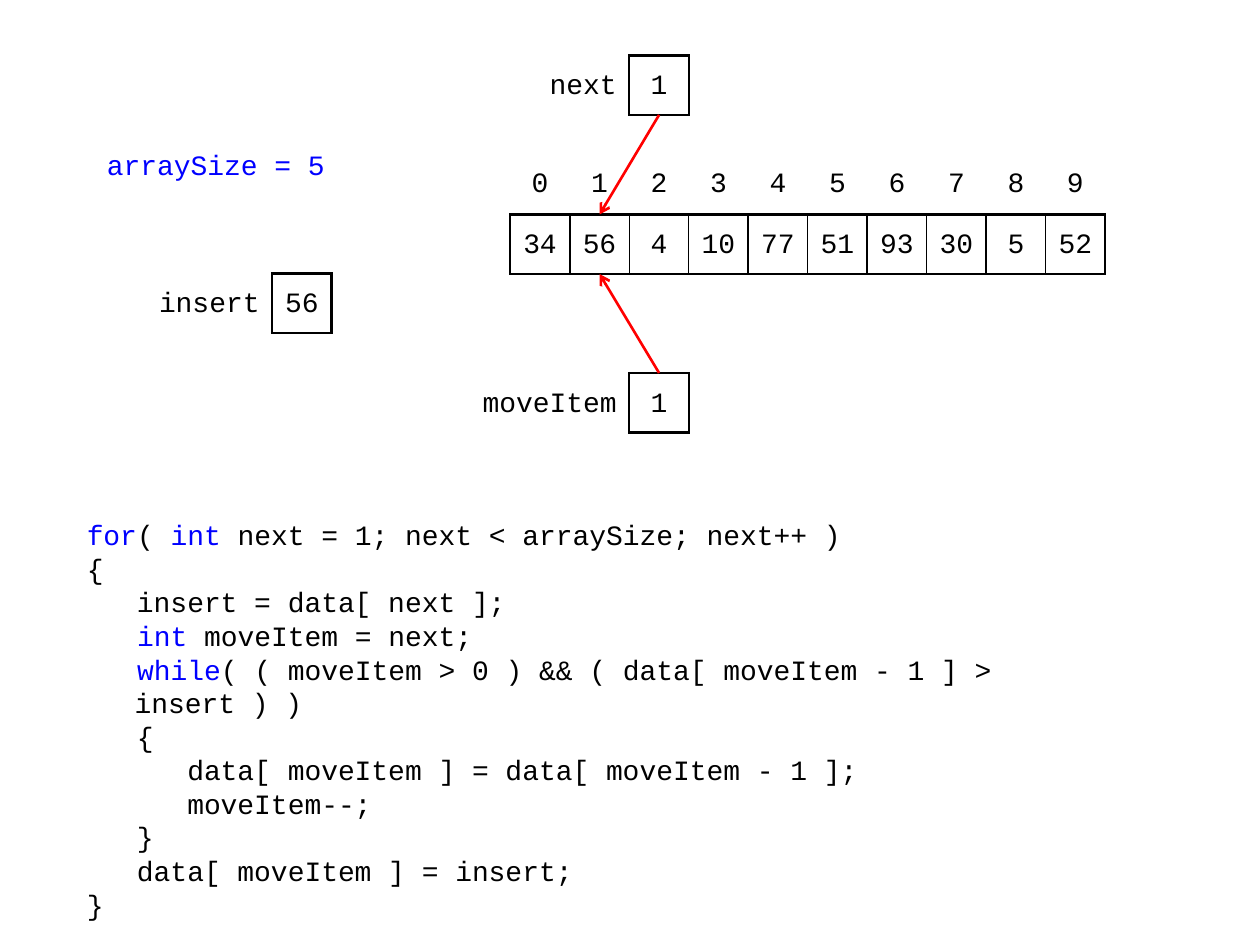
from lxml.etree import SubElement
from pptx import Presentation
from pptx.dml.color import RGBColor
from pptx.enum.shapes import MSO_CONNECTOR
from pptx.enum.text import MSO_ANCHOR, PP_ALIGN
from pptx.oxml.ns import qn
from pptx.util import Inches, Pt

COLORS = {"ink": "000000", "keyword": "0000FF", "arrow": "FF0000", "paper": "FFFFFF"}
FONT = "Courier New"
CELL = 0.4724
ARRAY_LEFT, ARRAY_TOP = 4.05, 1.23
THIN, THICK = 1, 1.5
VALUES = [34, 56, 4, 10, 77, 51, 93, 30, 5, 52]
CODE = [
    [("for", "keyword"), ("( ", "ink"), ("int", "keyword"),
     (" next = 1; next < arraySize; next++ )", "ink")],
    [("{", "ink")],
    [("   insert = data[ next ];", "ink")],
    [("   ", "ink"), ("int ", "keyword"), ("moveItem = next;", "ink")],
    [("   ", "ink"), ("while", "keyword"),
     ("( ( moveItem > 0 ) && ( data[ moveItem - 1 ] > insert ) )", "ink")],
    [("   {", "ink")],
    [("      data[ moveItem ] = data[ moveItem - 1 ];", "ink")],
    [("      moveItem--;", "ink")],
    [("   }", "ink")],
    [("   data[ moveItem ] = insert;", "ink")],
    [("}", "ink")],
]


def rgb(name):
    return RGBColor.from_string(COLORS[name])


def write_text(frame, lines, align=PP_ALIGN.LEFT, anchor=MSO_ANCHOR.TOP, hanging=0, spacing=None):
    frame.word_wrap = True
    frame.vertical_anchor = anchor
    for number, line in enumerate(lines):
        paragraph = frame.paragraphs[0] if number == 0 else frame.add_paragraph()
        paragraph.alignment = align
        if spacing:
            paragraph.line_spacing = Pt(spacing)
        if hanging:
            properties = paragraph._p.get_or_add_pPr()
            properties.set("marL", str(Inches(hanging)))
            properties.set("indent", str(-Inches(hanging)))
        for text, color in line:
            run = paragraph.add_run()
            run.text = text
            run.font.name = FONT
            run.font.size = Pt(16)
            run.font.bold = False
            run.font.color.rgb = rgb(color)


def add_text(slide, left, top, width, height, lines, **style):
    box = slide.shapes.add_textbox(Inches(left), Inches(top), Inches(width), Inches(height))
    write_text(box.text_frame, lines, **style)


def draw_borders(cell, **widths):
    properties = cell._tc.get_or_add_tcPr()
    for side in "LRTB":
        width = widths.get(side, 0)
        border = SubElement(properties, qn(f"a:ln{side}"), w=str(Pt(width)))
        if width:
            fill = SubElement(border, qn("a:solidFill"))
            SubElement(fill, qn("a:srgbClr"), val=COLORS["ink"])
        else:
            SubElement(border, qn("a:noFill"))


def fill_cell(cell, text, align=PP_ALIGN.CENTER, margin=0.08, bottom=0.02, paper=False, **borders):
    write_text(cell.text_frame, [[(str(text), "ink")]], align=align)
    cell.vertical_anchor = MSO_ANCHOR.MIDDLE
    cell.margin_left = cell.margin_right = Inches(margin)
    cell.margin_top, cell.margin_bottom = Inches(0.05), Inches(bottom)
    draw_borders(cell, **borders)
    if paper:
        cell.fill.solid()
        cell.fill.fore_color.rgb = rgb("paper")
    else:
        cell.fill.background()


def add_grid(slide, left, top, widths, rows):
    grid = slide.shapes.add_table(rows, len(widths), Inches(left), Inches(top),
                                  Inches(sum(widths)), Inches(rows * CELL)).table
    grid.first_row = grid.horz_banding = False
    for column, width in zip(grid.columns, widths):
        column.width = Inches(width)
    for row in grid.rows:
        row.height = Inches(CELL)
    return grid


def add_array(slide, left, top):
    grid = add_grid(slide, left, top, [CELL] * len(VALUES), 2)
    last = len(VALUES) - 1
    for index, value in enumerate(VALUES):
        fill_cell(grid.cell(0, index), index, bottom=0.05, B=THICK)
        fill_cell(grid.cell(1, index), value, paper=True, T=THICK, B=THICK,
                  L=THICK if index == 0 else THIN, R=THICK if index == last else THIN)


def add_variable(slide, left, top, label_width, name, value):
    grid = add_grid(slide, left, top, [label_width, CELL], 1)
    fill_cell(grid.cell(0, 0), name, align=PP_ALIGN.RIGHT, margin=0.1, R=THICK)
    fill_cell(grid.cell(0, 1), value, L=THICK, R=THICK, T=THICK, B=THICK)


def add_arrow(slide, start, end):
    arrow = slide.shapes.add_connector(MSO_CONNECTOR.STRAIGHT, *map(Inches, start + end))
    arrow.line.color.rgb = rgb("arrow")
    arrow.line.width = Pt(1.5)
    SubElement(arrow.line._get_or_add_ln(), qn("a:tailEnd"), type="arrow")
    SubElement(arrow._element.spPr, qn("a:effectLst"))


def main():
    deck = Presentation()
    deck.slide_width, deck.slide_height = Inches(10), Inches(7.5)
    slide = deck.slides.add_slide(deck.slide_layouts[6])

    next_top, move_top = 0.44, 2.96
    add_array(slide, ARRAY_LEFT, ARRAY_TOP)
    add_variable(slide, ARRAY_LEFT, next_top, 2 * CELL, "next", 1)
    add_variable(slide, ARRAY_LEFT - CELL, move_top, 3 * CELL, "moveItem", 1)
    add_variable(slide, 1.06, 2.17, 1.1, "insert", 56)

    add_text(slide, 0.75, 1.07, 2.52, 0.47, [[("arraySize = 5", "keyword")]],
             anchor=MSO_ANCHOR.MIDDLE, spacing=19.2)
    add_text(slide, 0.59, 4.06, 8.82, 2.99, CODE, hanging=0.38, spacing=19.2)

    pointer_x = ARRAY_LEFT + 2.5 * CELL
    target_x = ARRAY_LEFT + 1.5 * CELL
    add_arrow(slide, (pointer_x, next_top + CELL), (target_x, ARRAY_TOP + CELL))
    add_arrow(slide, (pointer_x, move_top), (target_x, ARRAY_TOP + 2 * CELL))

    deck.save("out.pptx")


if __name__ == "__main__":
    main()
